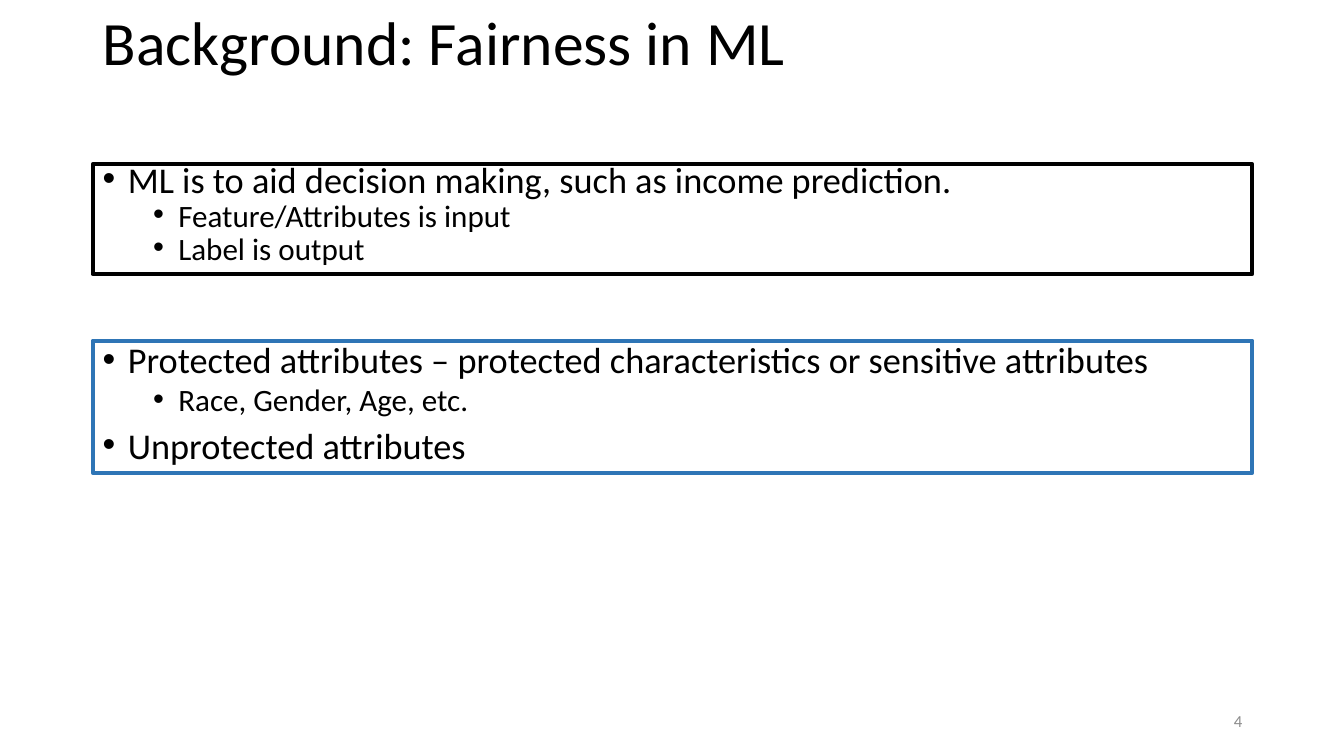
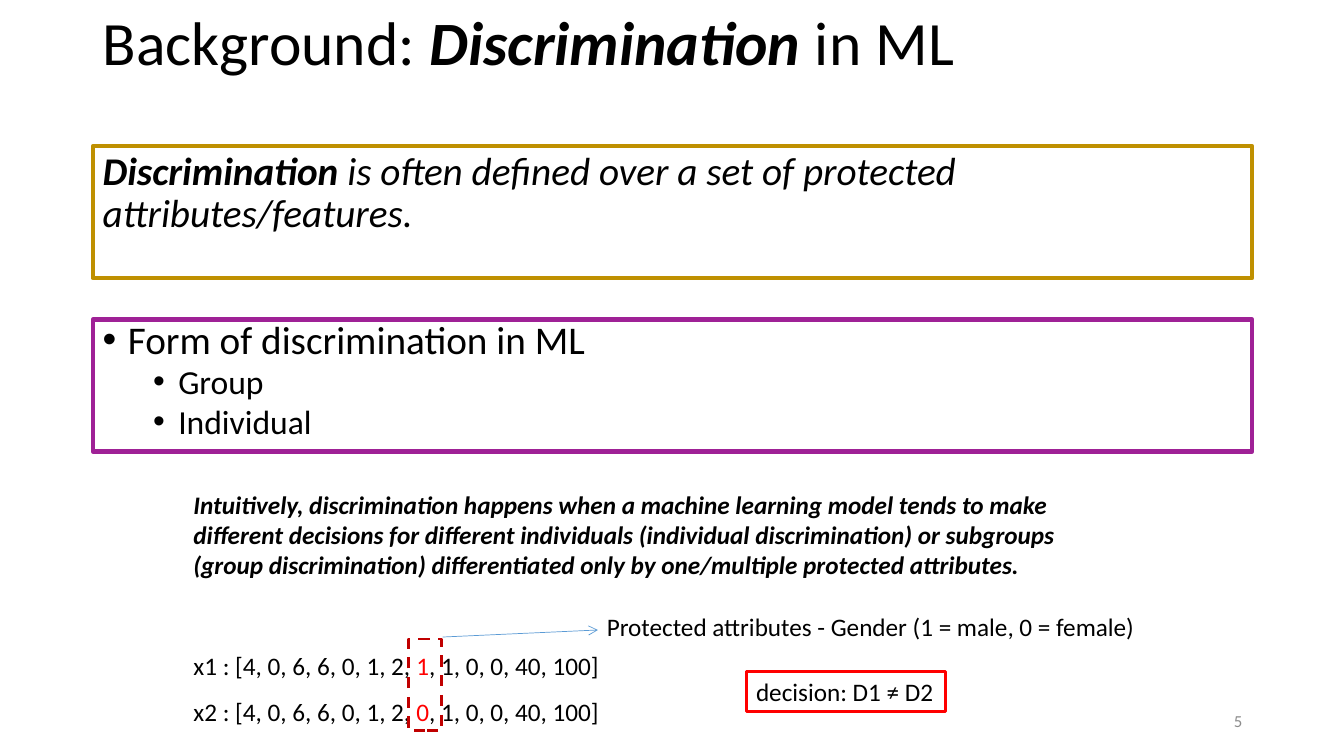
"""Build two slides on fairness and discrimination in machine learning."""
import pptx
import pptx.dml.color
import pptx.enum.dml
import pptx.enum.shapes
import pptx.enum.text
import pptx.oxml
import pptx.oxml.ns
import pptx.util
from pptx.util import Inches

COLORS = {
    "text": "000000", "number": "8C8C8C", "blue": "2E75B6", "gold": "BF9000",
    "purple": "9F2196", "red": "FF0000", "dark red": "C00000", "arrow": "5B9BD5",
}
FONT = "Calibri"
MARGIN, CONTENT_WIDTH = 0.92, 11.5
BULLET_INDENTS, SPACE_BEFORE = (0.25, 0.75), (10, 5)
EMPHASIS = {"bold": True, "italic": True}
PLAIN, RED = {}, {"color": "red"}

SLIDES = [
    {
        "number": "4",
        "title": [("Background: Fairness in ML", PLAIN)],
        "panels": [
            {"top": 1.63, "height": 1.09, "line": "text", "sizes": (25.9, 22.2), "spacing": 0.7,
             "bullets": [(0, "ML is to aid decision making, such as income prediction."),
                         (1, "Feature/Attributes is input"),
                         (1, "Label is output")]},
            {"top": 3.38, "height": 1.31, "line": "blue", "sizes": (25.9, 22.2), "spacing": 0.8,
             "bullets": [(0, "Protected attributes – protected characteristics or sensitive attributes"),
                         (1, "Race, Gender, Age, etc."),
                         (0, "Unprotected attributes")]},
        ],
    },
    {
        "number": "5",
        "title": [("Background: ", PLAIN), ("Discrimination", EMPHASIS), (" in ML", PLAIN)],
        "panels": [
            {"top": 3.17, "height": 1.31, "line": "purple", "sizes": (28, 24), "spacing": 0.8,
             "bullets": [(0, "Form of discrimination in ML"), (1, "Group"), (1, "Individual")]},
        ],
    },
]
DEFINITION = [("Discrimination", {"bold": True}),
              (" is often defined over a set of protected attributes/features.", PLAIN)]
INTUITION = ("Intuitively, discrimination happens when a machine learning model tends to make "
             "different decisions for different individuals (individual discrimination) or "
             "subgroups (group discrimination) differentiated only by one/multiple protected "
             "attributes.")
SAMPLES = [("x1", "1"), ("x2", "0")]
GENDER_NOTE = "Protected attributes - Gender (1 = male, 0 = female)"
DECISION = "decision: D1 ≠ D2"


def color_of(name):
    return pptx.dml.color.RGBColor.from_string(COLORS[name])


def style_font(font, size=None, bold=None, italic=None, color=None):
    if size:
        font.size = pptx.util.Pt(size)
        font.name = FONT
    if bold is not None:
        font.bold = bold
    if italic is not None:
        font.italic = italic
    if color:
        font.color.rgb = color_of(color)


def write_runs(paragraph, runs, size, color="text", **style):
    style_font(paragraph.font, size, color=color, **style)
    for text, run_style in runs:
        run = paragraph.add_run()
        run.text = text
        style_font(run.font, **run_style)


def add_text(slide, box, runs, size, wrap=True, middle=False, **style):
    shape = slide.shapes.add_textbox(*map(Inches, box))
    frame = shape.text_frame
    frame.word_wrap = wrap
    if middle:
        frame.vertical_anchor = pptx.enum.text.MSO_ANCHOR.MIDDLE
    write_runs(frame.paragraphs[0], runs, size, **style)
    return frame.paragraphs[0]


def add_outline(slide, box, color, width):
    shape = slide.shapes.add_shape(pptx.enum.shapes.MSO_SHAPE.RECTANGLE, *map(Inches, box))
    shape.shadow.inherit = False
    shape.fill.background()
    shape.line.color.rgb = color_of(color)
    shape.line.width = pptx.util.Pt(width)
    frame = shape.text_frame
    frame.vertical_anchor = pptx.enum.text.MSO_ANCHOR.TOP
    frame.paragraphs[0].alignment = pptx.enum.text.PP_ALIGN.LEFT
    return shape


def append_xml(parent, tag, **attributes):
    element = pptx.oxml.parse_xml(f"<a:{tag} {pptx.oxml.ns.nsdecls('a')}/>")
    for name, value in attributes.items():
        element.set(name, value)
    parent.append(element)


def add_bullet(paragraph, level):
    paragraph.level = level
    properties = paragraph._p.get_or_add_pPr()
    properties.set("marL", str(Inches(BULLET_INDENTS[level])))
    properties.set("indent", str(Inches(-0.25)))
    append_xml(properties, "buFont", typeface="Arial")
    append_xml(properties, "buChar", char="•")


def add_panel(slide, panel):
    box = (MARGIN, panel["top"], CONTENT_WIDTH, panel["height"])
    frame = add_outline(slide, box, panel["line"], 3).text_frame
    for index, (level, text) in enumerate(panel["bullets"]):
        paragraph = frame.add_paragraph() if index else frame.paragraphs[0]
        paragraph.alignment = pptx.enum.text.PP_ALIGN.LEFT
        paragraph.line_spacing = panel["spacing"]
        paragraph.space_before = pptx.util.Pt(SPACE_BEFORE[level])
        add_bullet(paragraph, level)
        write_runs(paragraph, [(text, PLAIN)], panel["sizes"][level])


def add_arrow(slide, start, end):
    arrow = slide.shapes.add_connector(
        pptx.enum.shapes.MSO_CONNECTOR.STRAIGHT, *map(Inches, start + end))
    arrow.line.color.rgb = color_of("arrow")
    arrow.line.width = pptx.util.Pt(0.5)
    append_xml(arrow.line._get_or_add_ln(), "tailEnd", type="arrow")
    append_xml(arrow._element.spPr, "effectLst")


def add_definition(slide):
    shape = add_outline(slide, (MARGIN, 1.45, CONTENT_WIDTH, 1.31), "gold", 3)
    paragraph = shape.text_frame.paragraphs[0]
    paragraph.line_spacing = 0.9
    paragraph.space_before = pptx.util.Pt(SPACE_BEFORE[0])
    write_runs(paragraph, DEFINITION, 28, italic=True)


def add_example(slide):
    add_text(slide, (1.82, 4.8, 9.24, 1.01), [(INTUITION, PLAIN)], 18, **EMPHASIS)
    for index, (name, gender) in enumerate(SAMPLES):
        runs = [(f"{name} : [4, 0, 6, 6, 0, 1, 2, ", PLAIN), (gender, RED),
                (", 1, 0, 0, 40, 100]", PLAIN)]
        add_text(slide, (1.82, 6.4 + 0.46 * index, 4.28, 0.4), runs, 18, wrap=False)
    gender_frame = add_outline(slide, (4.05, 6.34, 0.33, 0.91), "dark red", 2)
    gender_frame.line.dash_style = pptx.enum.dml.MSO_LINE.DASH
    add_arrow(slide, (4.39, 6.32), (5.93, 6.25))
    add_text(slide, (5.92, 6.02, 5.51, 0.4), [(GENDER_NOTE, PLAIN)], 18, wrap=False)
    decision = add_outline(slide, (7.4, 6.66, 1.98, 0.4), "red", 2).text_frame
    decision.word_wrap = False
    write_runs(decision.paragraphs[0], [(DECISION, PLAIN)], 18)


def add_base_slide(presentation, content):
    slide = presentation.slides.add_slide(presentation.slide_layouts[6])
    title = add_text(slide, (MARGIN, 0.03, CONTENT_WIDTH, 0.84), content["title"], 44, middle=True)
    title.line_spacing = 0.9
    number = add_text(slide, (9.42, 6.95, 3, 0.4), [(content["number"], PLAIN)], 12,
                      middle=True, color="number")
    number.alignment = pptx.enum.text.PP_ALIGN.RIGHT
    for panel in content["panels"]:
        add_panel(slide, panel)
    return slide


presentation = pptx.Presentation()
presentation.slide_width, presentation.slide_height = Inches(13.33), Inches(7.5)
fairness, discrimination = [add_base_slide(presentation, content) for content in SLIDES]
add_definition(discrimination)
add_example(discrimination)
presentation.save("out.pptx")
